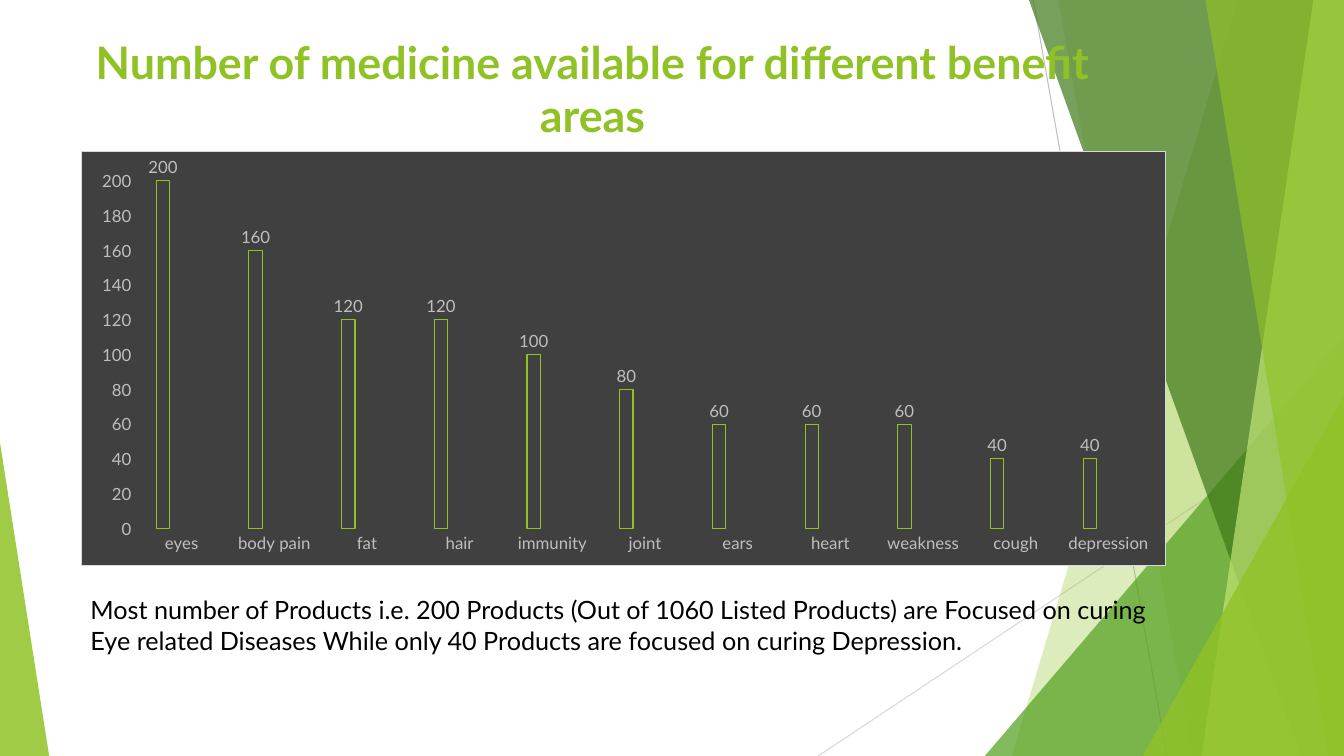
from lxml import etree
from pptx import Presentation
from pptx.chart.data import CategoryChartData
from pptx.dml.color import RGBColor
from pptx.enum.chart import XL_CHART_TYPE, XL_LABEL_POSITION, XL_TICK_MARK
from pptx.enum.shapes import MSO_CONNECTOR, MSO_SHAPE
from pptx.enum.text import MSO_ANCHOR, MSO_AUTO_SIZE, PP_ALIGN
from pptx.oxml import parse_xml
from pptx.oxml.ns import nsdecls, qn
from pptx.util import Cm, Pt

COLUMN = XL_CHART_TYPE.COLUMN_CLUSTERED
OUTER = XL_LABEL_POSITION.OUTSIDE_END
NO_TICK = XL_TICK_MARK.NONE
STRAIGHT = MSO_CONNECTOR.STRAIGHT
WEDGE = MSO_SHAPE.ISOSCELES_TRIANGLE
TOP = MSO_ANCHOR.TOP
FIXED, GROW = MSO_AUTO_SIZE.NONE, MSO_AUTO_SIZE.SHAPE_TO_FIT_TEXT
LEFT, MID = PP_ALIGN.LEFT, PP_ALIGN.CENTER

WIDE, HIGH = 33.87, 19.05
HUES = {
    "lime": "90C226", "leaf": "54A021", "moss": "3F7819", "pale": "C0E474",
    "gold": "E6B91E", "coal": "404040", "silver": "BFBFBF", "mist": "D9D9D9",
    "black": "000000",
}

# Left edge of each band at the top and at the bottom, colour, opacity
BACK = [(31.19, 25.5, "lime", 30), (26.67, 30.05, "lime", 20)]
FRONT = [(25.93, 32.79, "moss", 70), (33.1, 30.28, "pale", 70),
         (30.38, 33.48, "lime", 65)]

AREAS = {
    "eyes": 200, "body pain": 160, "fat": 120, "hair": 120, "immunity": 100,
    "joint": 80, "ears": 60, "heart": 60, "weakness": 60, "cough": 40,
    "depression": 40,
}
TITLE = "Number of medicine available for different benefit areas"
NOTE = ("Most number of Products i.e. 200 Products (Out of 1060 Listed "
        "Products) are Focused on curing Eye related Diseases While only "
        "40 Products are focused on curing Depression.")


def tint(name):
    return RGBColor.from_string(HUES[name])


def put(item, **form):
    for key, value in form.items():
        setattr(item, key, value)


class Page:
    def __init__(self, slide, face):
        self.slide, self.face = slide, face
        self.shapes = slide.shapes

    def font(self, font, size, hue, bold=False):
        put(font, name=self.face, size=Pt(size), bold=bold)
        font.color.rgb = tint(hue)

    def stroke(self, line, hue):
        line.color.rgb = tint(hue)
        line.width = Pt(0.75)

    def paint(self, shape, hue, alpha):
        shape.shadow.inherit = False
        shape.line.fill.background()
        shape.fill.solid()
        shape.fill.fore_color.rgb = tint(hue)
        clr = shape.fill._xPr.find(".//" + qn("a:srgbClr"))
        etree.SubElement(clr, qn("a:alpha"), val=str(alpha * 1000))

    def line(self, start, end, hue):
        link = self.shapes.add_connector(
            STRAIGHT, *[Cm(n) for n in (*start, *end)])
        self.stroke(link.line, hue)
        etree.SubElement(link._element.spPr, qn("a:effectLst"))

    def band(self, top, base, hue, alpha):
        pen = self.shapes.build_freeform(Cm(top), 0)
        pen.add_line_segments([(Cm(WIDE), 0), (Cm(WIDE), Cm(HIGH)),
                               (Cm(base), Cm(HIGH))], close=True)
        self.paint(pen.convert_to_shape(), hue, alpha)

    def wedge(self, box, peak, hue, alpha):
        shape = self.shapes.add_shape(WEDGE, *[Cm(n) for n in box])
        shape.adjustments[0] = peak
        self.paint(shape, hue, alpha)

    def text(self, shape, words, size, hue, bold, align, fit):
        frame = shape.text_frame
        frame.text = words
        put(frame, word_wrap=True, auto_size=fit, vertical_anchor=TOP)
        para = frame.paragraphs[0]
        para.alignment = align
        self.font(para.runs[0].font, size, hue, bold)

    def title(self, box, words):
        shape = self.shapes.title
        keys = ("left", "top", "width", "height")
        put(shape, **dict(zip(keys, map(Cm, box))))
        self.text(shape, words, 32, "lime", True, MID, FIXED)
        # Bring the title in front of the bands
        self.shapes._spTree.append(shape._element)

    def note(self, box, words):
        shape = self.shapes.add_textbox(*[Cm(n) for n in box])
        self.text(shape, words, 18, "black", False, LEFT, GROW)

    def chart(self, box, table, hues):
        data = CategoryChartData()
        data.categories = list(table)
        blank = [None] * len(table)
        for num in range(len(hues)):
            data.add_series(f"Series {num + 1}",
                            blank if num else list(table.values()))
        chart = self.shapes.add_chart(
            COLUMN, *[Cm(n) for n in box], data).chart
        put(chart, has_legend=False, has_title=False)
        self.font(chart.font, 10, "black")

        # Columns and their labels
        plot = chart.plots[0]
        put(plot, gap_width=315, overlap=-40, vary_by_categories=False)
        for row, hue in zip(plot.series, hues):
            row.format.fill.background()
            self.stroke(row.format.line, hue)
            tags = row.data_labels
            put(tags, show_value=True, position=OUTER)
            self.font(tags.font, 12, "silver")

        # Axes
        for axis in (chart.category_axis, chart.value_axis):
            put(axis, has_major_gridlines=False, major_tick_mark=NO_TICK,
                minor_tick_mark=NO_TICK)
            axis.format.line.fill.background()
            self.font(axis.tick_labels.font, 12, "silver")
        put(chart.value_axis, minimum_scale=0, maximum_scale=200,
            major_unit=20)
        self.frame(chart, (0.05, 0.07, 0.94, 0.84))

    def frame(self, chart, inner):
        # Dark panel with a thin border
        root = chart._chartSpace
        root.find(qn("c:chart")).addnext(parse_xml(
            f'<c:spPr {nsdecls("c", "a")}>'
            f'<a:solidFill><a:srgbClr val="{HUES["coal"]}"/></a:solidFill>'
            f'<a:ln w="{Pt(0.75)}"><a:solidFill>'
            f'<a:srgbClr val="{HUES["mist"]}"/></a:solidFill></a:ln>'
            '</c:spPr>'))
        # Fixed plot area
        area = root.find(".//" + qn("c:plotArea"))
        for old in area.findall(qn("c:layout")):
            area.remove(old)
        spots = "".join(f'<c:{key} val="{val}"/>'
                        for key, val in zip("xywh", inner))
        area.insert(0, parse_xml(
            f'<c:layout {nsdecls("c")}><c:manualLayout>'
            '<c:layoutTarget val="inner"/><c:xMode val="edge"/>'
            f'<c:yMode val="edge"/>{spots}</c:manualLayout></c:layout>'))


def main():
    deck = Presentation()
    put(deck, slide_width=Cm(WIDE), slide_height=Cm(HIGH))
    page = Page(deck.slides.add_slide(deck.slide_layouts[5]), "Lato")

    # Backdrop
    page.line((26.04, 0), (29.41, HIGH), "silver")
    page.line((WIDE, 10.24), (20.62, HIGH), "mist")
    for band in BACK:
        page.band(*band)
    page.wedge((24.82, 8.46, 9.05, 10.59), 1, "leaf", 72)
    for band in FRONT:
        page.band(*band)
    page.wedge((28.8, 9.98, 5.07, 9.07), 1, "lime", 80)
    page.wedge((0, 11.15, 1.24, 7.9), 0, "lime", 85)

    # Content
    page.title((2.03, 0.74, 25.81, 2.39), TITLE)
    page.note((2.03, 14.86, 27.64, 1.8), NOTE)
    page.chart((2.03, 3.81, 27.36, 10.46), AREAS, ("lime", "leaf", "gold"))
    deck.save("out.pptx")


if __name__ == "__main__":
    main()
